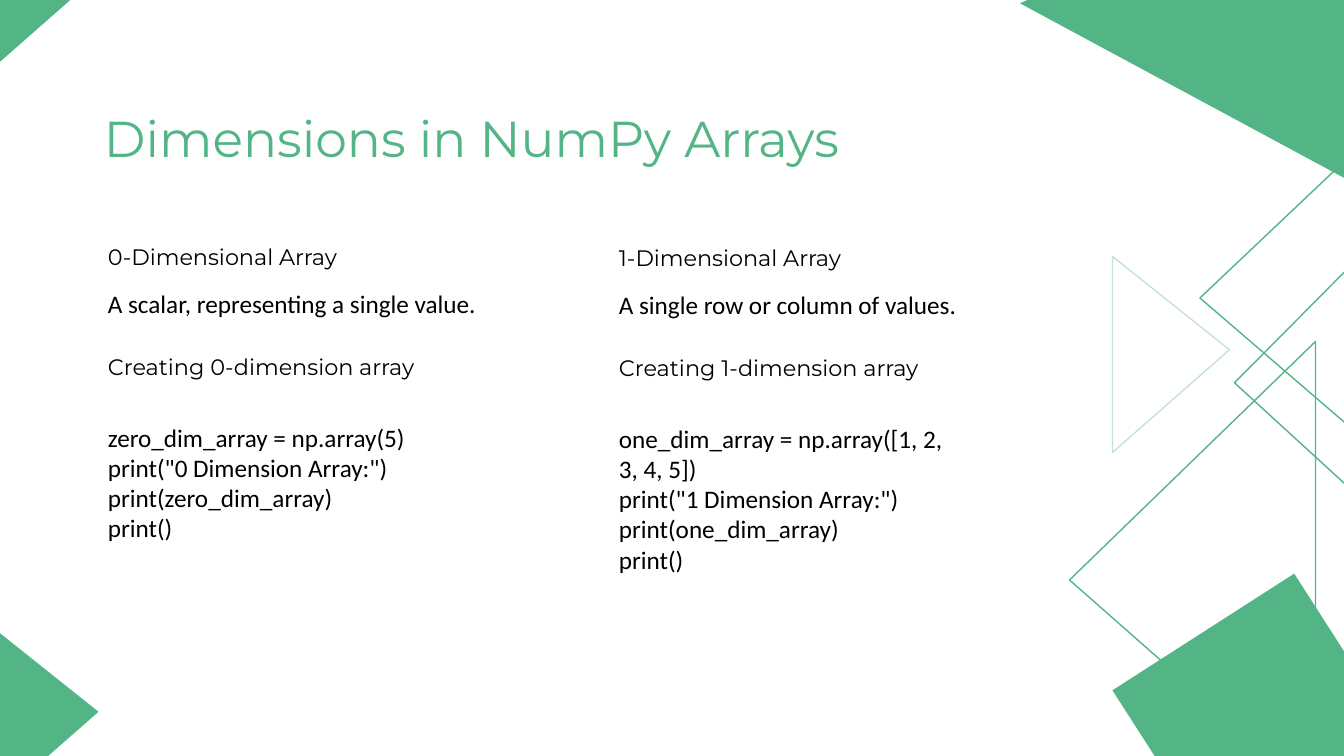
import pptx
import pptx.util
import pptx.dml.color
import pptx.enum.shapes
import pptx.enum.text

PX = 914400 / 100.8
GREEN = pptx.dml.color.RGBColor(0x53, 0xB5, 0x86)
PALE_GREEN = pptx.dml.color.RGBColor(0xC2, 0xE4, 0xD4)
BLACK = pptx.dml.color.RGBColor(0, 0, 0)
TRIANGLE = pptx.enum.shapes.MSO_SHAPE.ISOSCELES_TRIANGLE
RECTANGLE = pptx.enum.shapes.MSO_SHAPE.RECTANGLE

COLUMNS = [
    ((98, 238, 392, 312), "0-Dimensional Array",
     "A scalar, representing a single value.",
     "Creating 0-dimension array",
     ["zero_dim_array = np.array(5)", 'print("0 Dimension Array:")',
      "print(zero_dim_array)", "print()"]),
    ((609, 239, 392, 342), "1-Dimensional Array",
     "A single row or column of values.",
     "Creating 1-dimension array",
     ["one_dim_array = np.array([1, 2, 3, 4, 5])",
      'print("1 Dimension Array:")', "print(one_dim_array)", "print()"]),
]


def emu(box):
    return [pptx.util.Emu(round(length * PX)) for length in box]


def add_ornament(slide, kind, box, rotation, fill=None, line=None, apex=0.476):
    ornament = slide.shapes.add_shape(kind, *emu(box))
    ornament.shadow.inherit = False
    ornament.rotation = rotation
    if kind == TRIANGLE:
        ornament.adjustments[0] = apex
    if fill is None:
        ornament.fill.background()
    else:
        ornament.fill.solid()
        ornament.fill.fore_color.rgb = fill
    if line is None:
        ornament.line.fill.background()
    else:
        ornament.line.color.rgb = line
        ornament.line.width = pptx.util.Pt(1)


def add_text(slide, box, lines, size, font, color=BLACK):
    frame = slide.shapes.add_textbox(*emu(box)).text_frame
    frame.word_wrap = True
    frame.auto_size = pptx.enum.text.MSO_AUTO_SIZE.SHAPE_TO_FIT_TEXT
    for index, line in enumerate(lines):
        paragraph = frame.add_paragraph() if index else frame.paragraphs[0]
        run = paragraph.add_run()
        run.text = line
        run.font.size = pptx.util.Pt(size)
        run.font.name = font
        run.font.color.rgb = color


def add_decoration(slide, box):
    left, top, width, height = box
    right, bottom = left + width, top + height
    small = (196, 117)
    add_ornament(slide, TRIANGLE, (right - 187, top + 291, 323, 168), 270, line=GREEN)
    add_ornament(slide, TRIANGLE, (right - 321, top - 157, 348, 354), 270,
                 fill=GREEN, apex=0.548)
    add_ornament(slide, TRIANGLE, (right - 265, top + 135, 542, 300), 270, line=GREEN)
    add_ornament(slide, TRIANGLE, (left - 62, top - 75, *small), 90, fill=GREEN)
    add_ornament(slide, TRIANGLE, (right - 271, top + 296, *small), 90, line=PALE_GREEN)
    add_ornament(slide, RECTANGLE, (right - 222, bottom - 83, 354, 216), 57.3, fill=GREEN)
    add_ornament(slide, TRIANGLE, (right - 379, bottom - 310, 455, 246), 270, line=GREEN)
    add_ornament(slide, TRIANGLE, (left - 58, bottom - 98, *small), 90, fill=GREEN)


def add_title(slide, box):
    add_text(slide, box, ["Dimensions in NumPy Arrays"], 36, "Montserrat", GREEN)


def add_column(slide, box, heading, description, subheading, code):
    left, top, width, height = box
    add_text(slide, (left, top, width - 106, 37), [heading], 16, "Montserrat")
    add_text(slide, (left, top + 45, width, 40), [description], 18, "Calibri")
    add_text(slide, (left, top + 110, width - 16, 37), [subheading], 16, "Montserrat")
    add_text(slide, (left, top + 179, width - 26, height - 179), code, 18, "Calibri")


def main():
    deck = pptx.Presentation()
    deck.slide_width, deck.slide_height = emu((1344, 756))
    slide = deck.slides.add_slide(deck.slide_layouts[6])
    add_decoration(slide, (0, 0, 1344, 756))
    add_title(slide, (94, 102, 900, 72))
    for box, heading, description, subheading, code in COLUMNS:
        add_column(slide, box, heading, description, subheading, code)
    deck.save("out.pptx")


if __name__ == "__main__":
    main()
